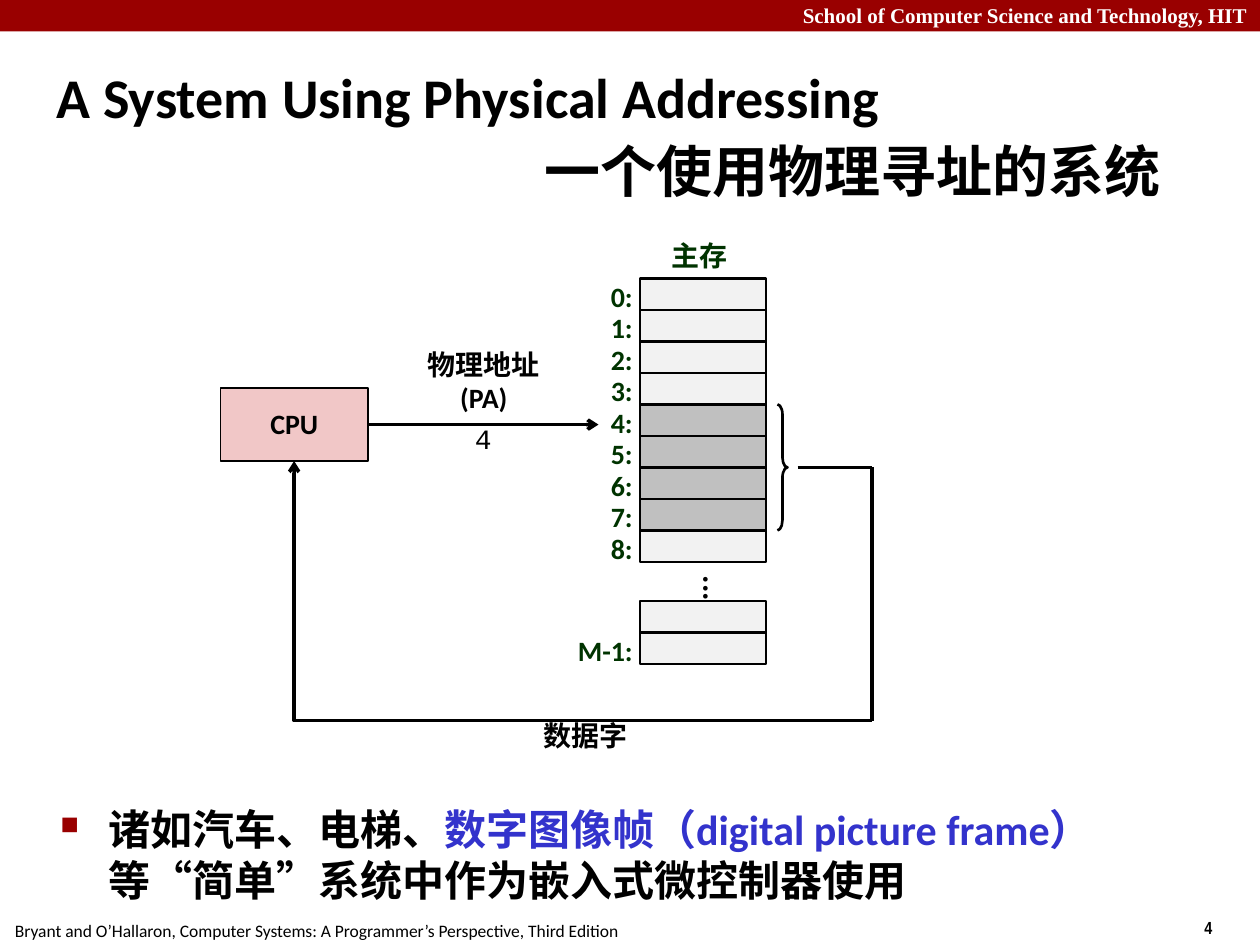
from lxml import etree
from pptx import Presentation
from pptx.dml.color import RGBColor
from pptx.enum.shapes import MSO_CONNECTOR, MSO_SHAPE
from pptx.enum.text import MSO_ANCHOR, MSO_AUTO_SIZE, PP_ALIGN
from pptx.oxml.ns import qn
from pptx.util import Inches, Pt

LEFT, CENTER, RIGHT = PP_ALIGN.LEFT, PP_ALIGN.CENTER, PP_ALIGN.RIGHT
TOP, MIDDLE = MSO_ANCHOR.TOP, MSO_ANCHOR.MIDDLE
RECTANGLE, BRACE = MSO_SHAPE.RECTANGLE, MSO_SHAPE.RIGHT_BRACE
STRAIGHT, ELBOW = MSO_CONNECTOR.STRAIGHT, MSO_CONNECTOR.ELBOW
NO_AUTOFIT = MSO_AUTO_SIZE.NONE
COLORS = {
    "band": "990000", "ink": "000000", "paper": "FFFFFF", "label": "003300",
    "cpu": "F1C7C7", "cell": "F2F2F2", "word": "C0C0C0", "accent": "3333CC",
}
CELL_WIDTH, CELL_HEIGHT = 1, 0.25


def rgb(name):
    """Return the named colour."""
    return RGBColor.from_string(COLORS[name])


def place(shape, box):
    """Move and size a shape to a box in inches."""
    shape.left, shape.top, shape.width, shape.height = map(Inches, box)


def write(frame, text, size=16, font="Calibri", color="ink", bold=True, align=LEFT,
          anchor=TOP, wrap=False, spacing=None):
    """Fill a frame with text, or with (text, colour) runs, in one format."""
    frame.auto_size = NO_AUTOFIT
    frame.word_wrap = wrap
    frame.vertical_anchor = anchor
    lines = [[(line, color)] for line in text.split("\n")] if isinstance(text, str) else [text]
    for index, line in enumerate(lines):
        paragraph = frame.paragraphs[0] if index == 0 else frame.add_paragraph()
        paragraph.alignment = align
        if spacing:
            paragraph.line_spacing = spacing
        for words, run_color in line:
            run = paragraph.add_run()
            run.text = words
            run.font.size = Pt(size)
            run.font.name = font
            run.font.bold = bold
            run.font.color.rgb = rgb(run_color)
    return frame


def add_text(slide, box, text, **style):
    """Add a text box and return its frame."""
    return write(slide.shapes.add_textbox(*map(Inches, box)).text_frame, text, **style)


def add_shape(slide, box, kind=RECTANGLE, fill=None, line=None, weight=1.5):
    """Add a preset shape without shadow."""
    shape = slide.shapes.add_shape(kind, *map(Inches, box))
    shape.shadow.inherit = False
    if fill:
        shape.fill.solid()
        shape.fill.fore_color.rgb = rgb(fill)
    else:
        shape.fill.background()
    if line:
        shape.line.color.rgb = rgb(line)
        shape.line.width = Pt(weight)
    else:
        shape.line.fill.background()
    return shape


def add_wire(slide, start, end, kind=STRAIGHT, arrow=False):
    """Add a black connector, with an arrowhead at its end if asked."""
    wire = slide.shapes.add_connector(kind, *map(Inches, (*start, *end)))
    wire.line.color.rgb = rgb("ink")
    wire.line.width = Pt(2)
    properties = wire._element.spPr
    if arrow:
        etree.SubElement(properties.find(qn("a:ln")), qn("a:tailEnd"), type="arrow")
    etree.SubElement(properties, qn("a:effectLst"))
    return wire


def set_indent(paragraph, margin, hanging=0):
    """Indent a paragraph, with a hanging first line."""
    properties = paragraph._p.get_or_add_pPr()
    properties.set("marL", str(Inches(margin)))
    properties.set("indent", str(Inches(-hanging)))
    return properties


def add_frame(slide, width, height):
    """Add the top band, the book reference and the page number."""
    add_shape(slide, (0, 0, width, 0.25), fill="band")
    add_text(slide, (width - 0.54, height - 0.27, 0.75, 0.27), "4", size=10, font="Arial Narrow")
    add_text(slide, (0.02, height - 0.25, 5.01, 0.27),
             "Bryant and O’Hallaron, Computer Systems: A Programmer’s Perspective, Third Edition",
             size=10, bold=False)
    add_text(slide, (0, -0.03, width, 0.3), "School of Computer Science and Technology, HIT",
             size=12, font="Times New Roman", color="paper", align=RIGHT, wrap=True)


def add_title(slide, box):
    """Set the two-line title with its second line indented."""
    place(slide.shapes.title, box)
    frame = write(slide.shapes.title.text_frame,
                  "A System Using Physical Addressing\n一个使用物理寻址的系统",
                  size=32, anchor=MIDDLE, wrap=True, spacing=1.1)
    for paragraph, margin in zip(frame.paragraphs, (0, 3.87)):
        set_indent(paragraph, margin)
        paragraph.space_before = Pt(0)


def add_memory(slide, left, top):
    """Draw the memory cells with their addresses and the brace of the read word."""
    add_text(slide, (left + 0.15, top - 0.33, 0.64, 0.33), "主存",
             color="label", align=CENTER, spacing=0.88)
    tail_top = top + 2.56
    cells = [(top + index * CELL_HEIGHT, f"{index}:") for index in range(9)]
    cells += [(tail_top, ""), (tail_top + CELL_HEIGHT, "M-1:")]
    for index, (cell_top, address) in enumerate(cells):
        add_shape(slide, (left, cell_top, CELL_WIDTH, CELL_HEIGHT),
                  fill="word" if 4 <= index <= 7 else "cell", line="ink")
        if address:
            add_text(slide, (left - 0.59, cell_top - 0.01, 0.63, 0.33), address,
                     color="label", align=RIGHT, spacing=0.88)
    dots = add_text(slide, (left + 0.09, top + 2.26, 1, 0.25), "...",
                    size=18, align=CENTER, anchor=MIDDLE, spacing=0.98)
    dots._txBody.bodyPr.set("vert", "eaVert")
    dots.margin_left = dots.margin_right = Inches(0.05)
    dots.margin_top = dots.margin_bottom = Inches(0.1)
    brace = add_shape(slide, (left + 1.09, top + 4 * CELL_HEIGHT, 0.08, 4 * CELL_HEIGHT),
                      kind=BRACE, line="ink")
    brace.adjustments[0] = 1


def add_cpu(slide, box):
    """Draw the CPU box."""
    cpu = add_shape(slide, box, fill="cpu", line="ink", weight=1)
    write(cpu.text_frame, "CPU", align=CENTER, anchor=MIDDLE, spacing=0.98)


def add_buses(slide, cpu_box, memory_left, word_middle):
    """Draw the address arrow and the data word's way back to the CPU."""
    left, top, width, height = cpu_box
    address_y = top + height / 2
    cpu_middle = left + width / 2
    corner_x, return_y = memory_left + 1.84, 5.72
    centered = {"align": CENTER, "anchor": MIDDLE, "spacing": 0.98}
    add_text(slide, (3.3, 2.72, 1.08, 0.62), "物理地址\n(PA)", **centered)
    add_text(slide, (4.22, 5.67, 0.86, 0.36), "数据字", **centered)
    add_wire(slide, (left + width, address_y), (4.75, address_y), arrow=True)
    add_wire(slide, (memory_left + 1.25, word_middle), (corner_x, word_middle))
    add_wire(slide, (corner_x, word_middle), (corner_x, return_y))
    way_back = add_wire(slide, (corner_x, return_y), (cpu_middle, top + height),
                        kind=ELBOW, arrow=True)
    guides = way_back._element.spPr.find(qn("a:prstGeom")).get_or_add_avLst()
    etree.SubElement(guides, qn("a:gd"), name="adj1", fmla="val 100000")
    add_text(slide, (3.67, 3.3, 0.33, 0.37), "4", font="Courier New", bold=False)


def add_remark(slide, box):
    """Add the bulleted remark on where physical addressing is used."""
    runs = [("诸如汽车、电梯、", "ink"), ("数字图像帧（digital picture frame）", "accent"),
            ("等“简单”系统中作为嵌入式微控制器使用", "ink")]
    frame = add_text(slide, box, runs, size=24, wrap=True)
    properties = set_indent(frame.paragraphs[0], 0.38, 0.38)
    bullet_color = etree.SubElement(properties, qn("a:buClr"))
    etree.SubElement(bullet_color, qn("a:srgbClr"), val=COLORS["band"])
    etree.SubElement(properties, qn("a:buSzPct"), val="60000")
    etree.SubElement(properties, qn("a:buChar"), char="■")


def main():
    """Build the slide and save it."""
    width, height = 10, 7.5
    deck = Presentation()
    deck.slide_width, deck.slide_height = Inches(width), Inches(height)
    slide = deck.slides.add_slide(deck.slide_layouts[5])
    cpu_box = (1.75, 3.08, 1.17, 0.58)
    memory_left, memory_top = 5.08, 2.21
    add_frame(slide, width, height)
    add_title(slide, (0.35, 0.36, 9.53, 1.34))
    add_remark(slide, (0.38, 6.33, 9.09, 0.96))
    add_cpu(slide, cpu_box)
    add_memory(slide, memory_left, memory_top)
    add_buses(slide, cpu_box, memory_left, memory_top + 6 * CELL_HEIGHT)
    deck.save("out.pptx")


if __name__ == "__main__":
    main()
